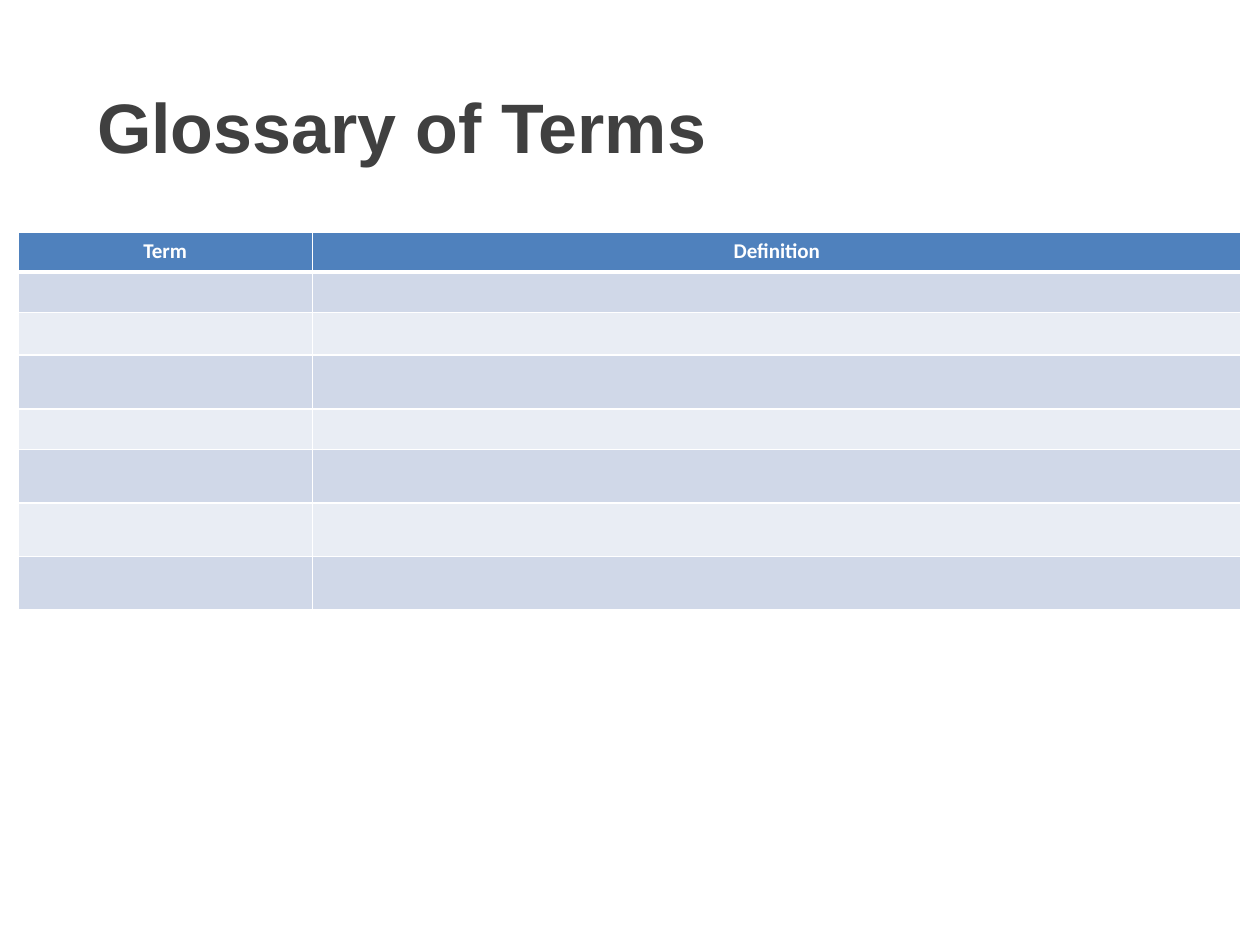
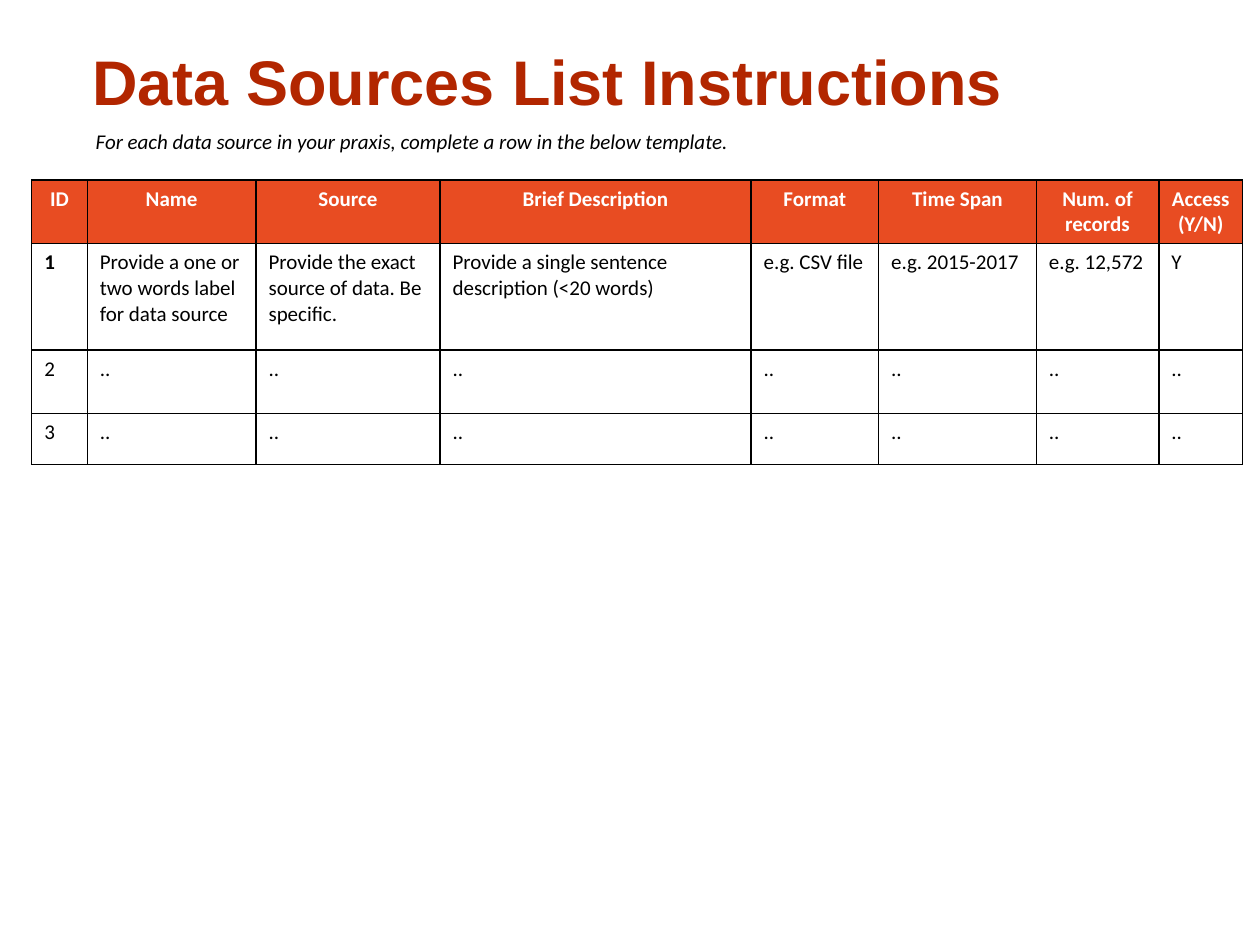
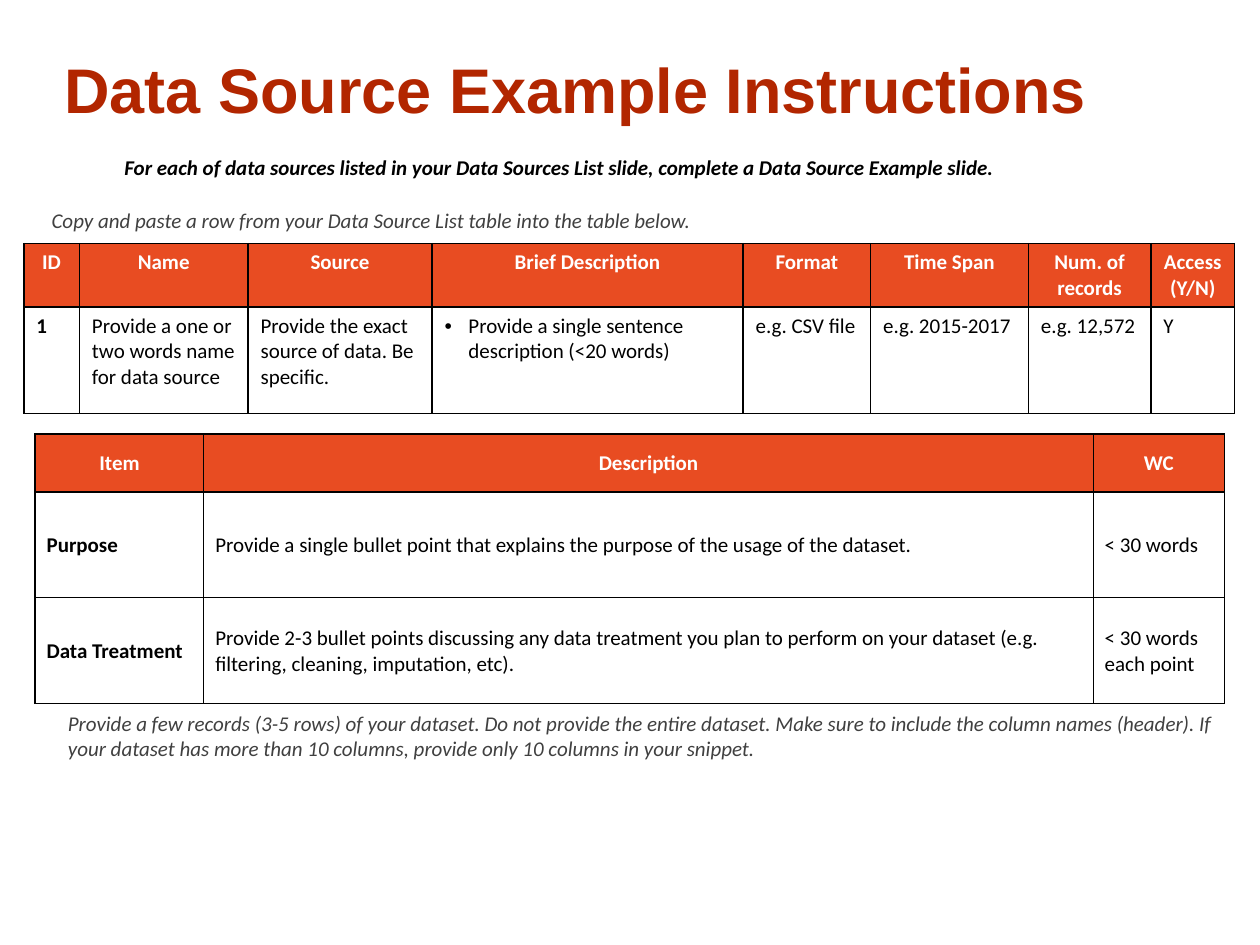
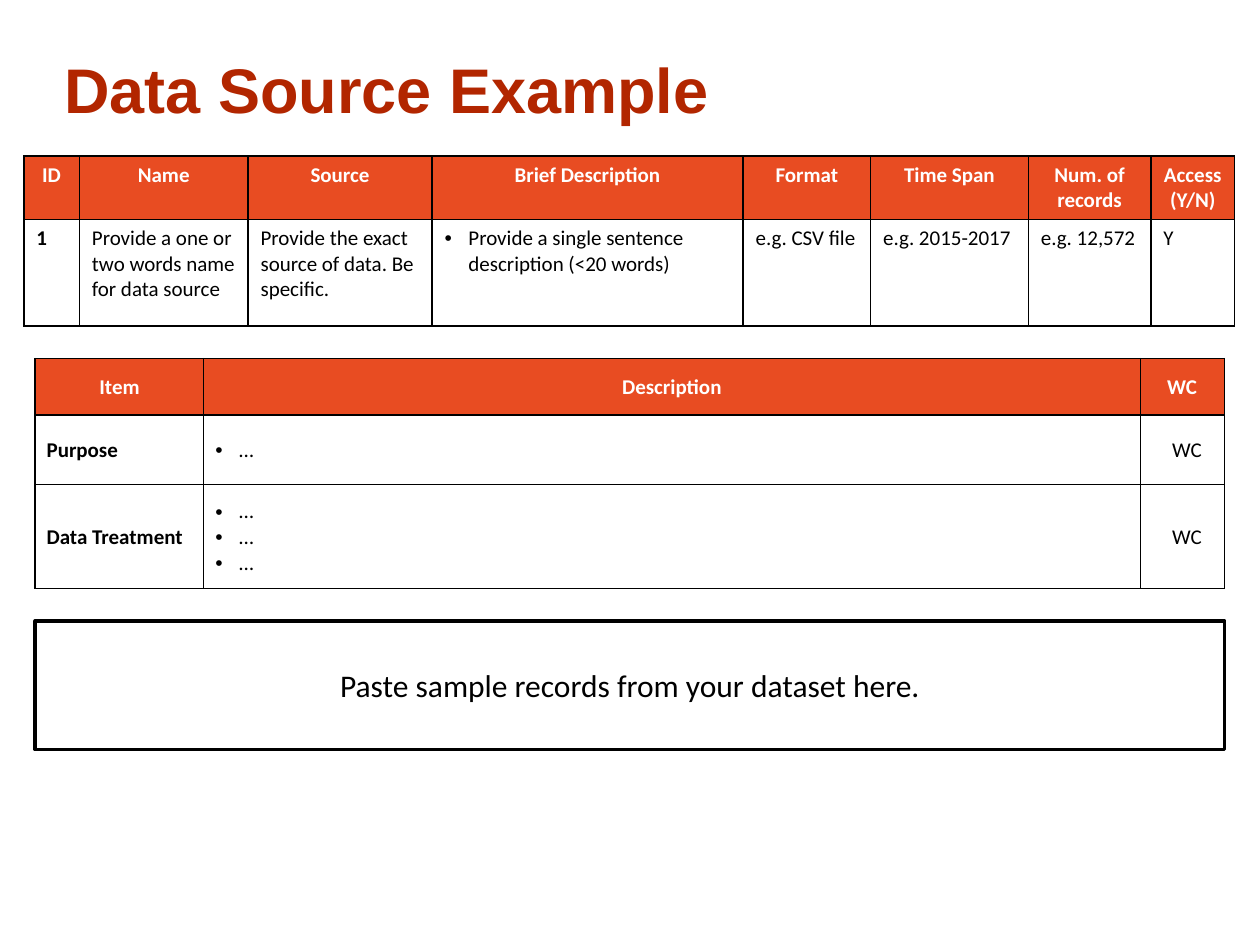
import pptx
import pptx.util
import pptx.dml.color
import pptx.enum.shapes
import pptx.enum.text
from dataclasses import dataclass
from lxml import etree

Cm = pptx.util.Cm
Pt = pptx.util.Pt
ALIGN = pptx.enum.text.PP_ALIGN
ANCHOR = pptx.enum.text.MSO_ANCHOR
NS = "{http://schemas.openxmlformats.org/drawingml/2006/main}"
PLAIN = "{2D5ABB26-0587-4C30-8999-92F81FD0307C}"  # table style without grid


@dataclass(frozen=True)
class Theme:
    head: str = "Arial"
    body: str = "Calibri"
    black: str = "000000"
    white: str = "FFFFFF"
    gray: str = "404040"
    red: str = "B22600"
    orange: str = "E84C22"
    blue: str = "4F81BD"
    dark: str = "D0D8E8"
    pale: str = "E9EDF4"
    big: int = 40
    title: int = 36
    box: int = 18
    text: int = 12


T = Theme()

# Content: all lengths in centimetres
HEADS = ["ID", "Name", "Source", "Brief Description", "Format", "Time Span",
         "Num. of records", "Access\n(Y/N)"]
COLS = [1.12, 3.4, 3.71, 6.27, 2.57, 3.18, 2.47, 1.69]
EXACT = "Provide the exact source of data. Be specific."
BRIEF = "Provide a single sentence description (<20 words)"
TAIL = ["e.g. CSV file", "e.g. 2015-2017", "e.g. 12,572", "Y"]
ENTRY = ["1", "Provide a one or two words name for data source", EXACT,
         "•" + BRIEF] + TAIL
ITEMS = ["Item", "Description", "WC"]

GLOSS = dict(cols=[5.94, 18.72],
             high=[0.8, 0.82, 0.86, 1.08, 0.82, 1.08, 1.08, 1.08],
             rows=[["Term", "Definition"]] + [["", ""]] * 7,
             fill=T.blue, bands=[T.dark, T.pale], edge=T.white, under=3)
LIST = dict(cols=COLS, high=[1.28, 2.15, 1.28, 1.02], keys=1,
            rows=[HEADS,
                  ["1", "Provide a one or two words label for data source",
                   EXACT, BRIEF] + TAIL,
                  ["2"] + [".."] * 7,
                  ["3"] + [".."] * 7])
ROW = dict(cols=COLS, high=[1.28, 2.15], rows=[HEADS, ENTRY])
ITEM = dict(bands=[T.white], inner=0.5, roomy=False)
GUIDE = dict(ITEM, cols=[3.4, 17.93, 2.64], high=[1.17, 2.13, 2.13], rows=[
    ITEMS,
    ["Purpose", "Provide a single bullet point that explains the purpose of "
     "the usage of the dataset.", "< 30 words"],
    ["Data Treatment", "Provide 2-3 bullet points discussing any data "
     "treatment you plan to perform on your dataset (e.g. filtering, "
     "cleaning, imputation, etc).", "< 30 words each point"]])
FORM = dict(ITEM, cols=[3.4, 18.87, 1.7], high=[1.14, 1.4, 2.1], mid=[2], rows=[
    ITEMS,
    ["Purpose", "•…", "WC"],
    ["Data Treatment", "•…\n•…\n•…", "WC"]])

TOP = (1.12, 0.74, 23.9, 1.8)
SLIDES = [
    [("grid", (0.36, 4.68), GLOSS),
     ("title", (1.78, 1.4, 21.87, 2.92),
      dict(text="Glossary of Terms", size=T.big, color=T.gray))],
    [("grid", (0.64, 3.63), LIST),
     ("title", (1.68, 0.58, 21.54, 1.83),
      dict(text="Data Sources List Instructions")),
     ("note", (1.68, 2.46, 13.39, 0.76),
      dict(text="For each data source in your praxis, complete a row in the "
                "below template.", color=T.black))],
    [("title", TOP, dict(text="Data Source Example Instructions")),
     ("note", (2.26, 3, 18.29, 0.76),
      dict(text="For each of data sources listed in your Data Sources List "
                "slide, complete a Data Source Example slide.",
           color=T.black, bold=True)),
     ("grid", (0.48, 4.91), ROW),
     ("grid", (0.71, 8.75), GUIDE),
     ("note", (1.12, 14.2, 23.8, 0.71),
      dict(text="Provide a few records (3-5 rows) of your dataset. Do not "
                "provide the entire dataset. Make sure to include the column "
                "names (header). If your dataset has more than 10 columns, "
                "provide only 10 columns in your snippet.")),
     ("note", (0.79, 4.06, 24.79, 0.71),
      dict(text="Copy and paste a row from your Data Source List table into "
                "the table below."))],
    [("title", TOP, dict(text="Data Source Example")),
     ("grid", (0.48, 3.14), ROW),
     ("grid", (0.71, 7.23), FORM),
     ("panel", (0.71, 12.52, 23.98, 2.59),
      dict(text="Paste sample records from your dataset here."))],
]


def rgb(code):
    return pptx.dml.color.RGBColor.from_string(code)


def put(frame, text, *, size=T.text, color=T.black, font=T.body, bold=False,
        italic=False, align=ALIGN.LEFT):
    """Write one paragraph per line; a leading • makes it a bullet."""
    for i, line in enumerate(text.split("\n")):
        para = frame.add_paragraph() if i else frame.paragraphs[0]
        para.alignment = align
        if not line:
            etree.SubElement(para._p, NS + "endParaRPr", sz=str(size * 100))
            continue
        if line.startswith("•"):
            prop = para._p.get_or_add_pPr()
            prop.set("marL", str(Cm(0.48)))
            prop.set("indent", str(-Cm(0.48)))
            etree.SubElement(prop, NS + "buFont", typeface=T.head)
            etree.SubElement(prop, NS + "buChar", char="•")
        run = para.add_run()
        run.text = line.lstrip("•")
        run.font.name, run.font.size = font, Pt(size)
        run.font.bold, run.font.italic = bold, italic
        run.font.color.rgb = rgb(color)


def note(slide, place, text, color=T.gray, italic=True, **form):
    frame = slide.shapes.add_textbox(*map(Cm, place)).text_frame
    frame.word_wrap = True
    put(frame, text, color=color, italic=italic, **form)
    return frame


def title(slide, place, text, size=T.title, color=T.red):
    frame = note(slide, place, text, color, False,
                 size=size, font=T.head, bold=True)
    frame.margin_left, frame.margin_top = Cm(0.18), Cm(0.28)


def panel(slide, place, text):
    kind = pptx.enum.shapes.MSO_SHAPE.RECTANGLE
    shape = slide.shapes.add_shape(kind, *map(Cm, place))
    shape.shadow.inherit = False
    shape.fill.solid()
    shape.fill.fore_color.rgb = rgb(T.white)
    shape.line.color.rgb = rgb(T.black)
    shape.line.width = Pt(2)
    shape.text_frame.vertical_anchor = ANCHOR.MIDDLE
    put(shape.text_frame, text, size=T.box, align=ALIGN.CENTER)


def rule(cell, color, widths):
    """Draw the left, right, top and bottom borders, in that order."""
    prop = cell._tc.get_or_add_tcPr()
    for side, width in zip("LRTB", widths):
        line = etree.SubElement(prop, NS + "ln" + side, w=str(Pt(width)))
        fill = etree.SubElement(line, NS + "solidFill")
        etree.SubElement(fill, NS + "srgbClr", val=color)


def grid(slide, place, cols, high, rows, fill=T.orange, bands=(), edge=T.black,
         inner=1, under=1, keys=9, mid=(), roomy=True):
    """Table; the first `keys` body rows start in bold, `mid` columns centre."""
    size = Cm(sum(cols)), Cm(sum(high))
    shape = slide.shapes.add_table(len(rows), len(cols), *map(Cm, place), *size)
    table = shape.table
    table.horz_banding = False
    next(shape._element.iter(NS + "tableStyleId")).text = PLAIN
    for c, width in enumerate(cols):
        table.columns[c].width = Cm(width)
    for r, row in enumerate(rows):
        table.rows[r].height = Cm(high[r])
        head = r == 0
        shade = fill if head else bands[(r - 1) % len(bands)] if bands else None
        for c, text in enumerate(row):
            cell = table.cell(r, c)
            above = (1, under)[r] if r < 2 else inner
            below = under if head else 1 if r == len(rows) - 1 else inner
            rule(cell, edge, (inner if c else 1,
                              inner if c < len(cols) - 1 else 1, above, below))
            if shade:
                cell.fill.solid()
                cell.fill.fore_color.rgb = rgb(shade)
            if not roomy:
                cell.vertical_anchor = ANCHOR.MIDDLE
                cell.margin_left = Cm(0.03 if head else 0.23)
                cell.margin_right = cell.margin_top = Cm(0.03)
                cell.margin_bottom = 0
            put(cell.text_frame, text, color=T.white if head else T.black,
                bold=head or (c == 0 and r <= keys),
                align=ALIGN.CENTER if head or c in mid else ALIGN.LEFT)


DRAW = dict(grid=grid, title=title, note=note, panel=panel)


def main():
    deck = pptx.Presentation()
    deck.slide_width, deck.slide_height = Cm(25.4), Cm(19.05)
    for parts in SLIDES:
        slide = deck.slides.add_slide(deck.slide_layouts[6])
        for kind, place, data in parts:
            DRAW[kind](slide, place, **data)
    deck.save("out.pptx")


if __name__ == "__main__":
    main()
